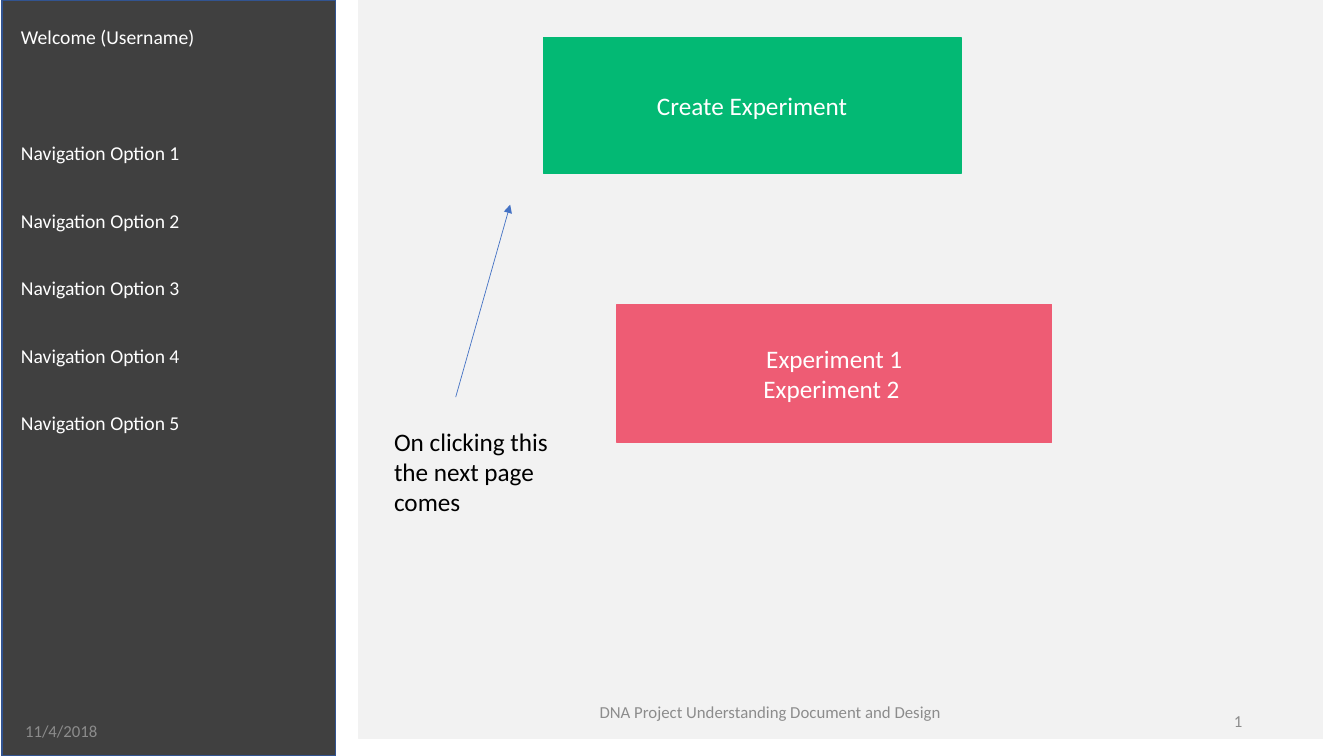
"""Builds the experiment home page wireframe slide."""
from lxml import etree
from pptx import Presentation
from pptx.dml.color import RGBColor
from pptx.enum.shapes import MSO_CONNECTOR, MSO_SHAPE
from pptx.enum.text import MSO_ANCHOR, PP_ALIGN
from pptx.oxml.ns import qn
from pptx.util import Inches, Pt

RECTANGLE = MSO_SHAPE.RECTANGLE
STRAIGHT = MSO_CONNECTOR.STRAIGHT
TOP, MIDDLE = MSO_ANCHOR.TOP, MSO_ANCHOR.MIDDLE
LEFT, CENTER, RIGHT = PP_ALIGN.LEFT, PP_ALIGN.CENTER, PP_ALIGN.RIGHT

WHITE = RGBColor(0xFF, 0xFF, 0xFF)
BLACK = RGBColor(0x00, 0x00, 0x00)
PALE_GREY = RGBColor(0xF2, 0xF2, 0xF2)
DARK_GREY = RGBColor(0x40, 0x40, 0x40)
FOOTER_GREY = RGBColor(0x8C, 0x8C, 0x8C)
NAVY = RGBColor(0x32, 0x54, 0x91)
BLUE = RGBColor(0x44, 0x72, 0xC4)
GREEN = RGBColor(0x03, 0xB9, 0x74)
PINK = RGBColor(0xEE, 0x5C, 0x74)


class Wireframe:
    """Holds the slide and its font, and draws each kind of element."""

    def __init__(self, slide, font="Calibri"):
        self.slide = slide
        self.font = font

    def add_lines(self, frame, lines, size, color, align, anchor):
        frame.word_wrap = True
        frame.vertical_anchor = anchor
        for index, line in enumerate(lines):
            paragraph = frame.add_paragraph() if index else frame.paragraphs[0]
            paragraph.alignment = align
            run = paragraph.add_run()
            run.text = line
            run.font.name = self.font
            run.font.size = Pt(size)
            run.font.color.rgb = color

    def block(self, left, top, width, height, fill, outline, lines=()):
        box = self.slide.shapes.add_shape(
            RECTANGLE, Inches(left), Inches(top), Inches(width), Inches(height))
        box.shadow.inherit = False
        box.fill.solid()
        box.fill.fore_color.rgb = fill
        box.line.color.rgb = outline
        box.line.width = Pt(1)
        self.add_lines(box.text_frame, lines, 18, WHITE, CENTER, MIDDLE)

    def label(self, left, top, width, height, text, size, color,
              align=LEFT, anchor=TOP):
        box = self.slide.shapes.add_textbox(
            Inches(left), Inches(top), Inches(width), Inches(height))
        self.add_lines(box.text_frame, [text], size, color, align, anchor)

    def arrow(self, start, end, color):
        pointer = self.slide.shapes.add_connector(
            STRAIGHT, *(Inches(value) for value in (*start, *end)))
        pointer.line.color.rgb = color
        pointer.line.width = Pt(0.5)
        properties = pointer.element.spPr
        etree.SubElement(properties.find(qn("a:ln")), qn("a:tailEnd"), type="triangle")
        etree.SubElement(properties, qn("a:effectLst"))


deck = Presentation()
deck.slide_width, deck.slide_height = Inches(13.33), Inches(7.5)
page = Wireframe(deck.slides.add_slide(deck.slide_layouts[6]))

page.block(3.56, 0, 9.56, 7.33, PALE_GREY, PALE_GREY)
page.block(0.02, 0, 3.31, 7.5, DARK_GREY, NAVY)

page.label(0.11, 0.2, 2.55, 0.34, "Welcome (Username)", 14, WHITE)
for option in range(5):
    page.label(0.11, 1.35 + option * 0.67, 2.23, 0.34,
               f"Navigation Option {option + 1}", 14, WHITE)

page.block(5.39, 0.37, 4.14, 1.35, GREEN, GREEN, ["Create Experiment"])
page.block(6.12, 3.02, 4.31, 1.37, PINK, PINK, ["Experiment 1", "Experiment 2 "])

page.arrow((4.52, 3.94), (5.06, 2.03), BLUE)
page.label(3.81, 4.18, 1.85, 1.01, "On clicking this the next page comes", 18, BLACK)

footers = [
    (0.15, 7.05, 3, "11/4/2018", LEFT),
    (5.39, 6.86, 4.5, "DNA Project Understanding Document and Design", CENTER),
    (9.42, 6.95, 3, "1", RIGHT),
]
for left, top, width, text, align in footers:
    page.label(left, top, width, 0.4, text, 12, FOOTER_GREY, align, MIDDLE)

deck.save("out.pptx")
